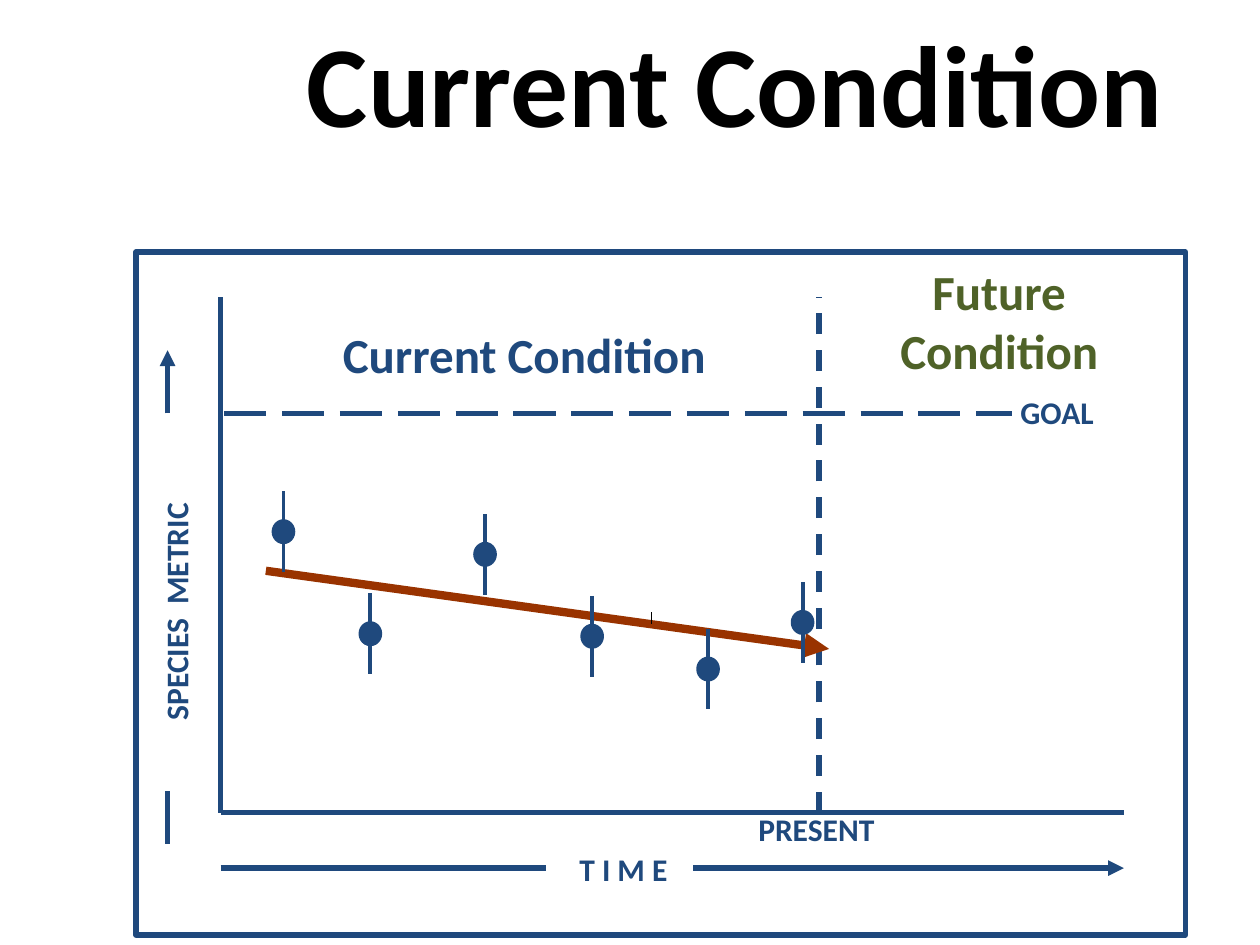
"""Build the Current Condition slide: a species metric trend against a goal."""
from pptx import Presentation
from pptx.dml.color import RGBColor
from pptx.enum.dml import MSO_LINE
from pptx.enum.shapes import MSO_CONNECTOR, MSO_SHAPE
from pptx.enum.text import MSO_ANCHOR, PP_ALIGN
from pptx.oxml.ns import qn
from pptx.util import Inches, Pt
from lxml import etree

NAVY = RGBColor(0x1F, 0x49, 0x7D)
GREEN = RGBColor(0x4F, 0x62, 0x28)
RUST = RGBColor(0x99, 0x33, 0x00)
BLACK = RGBColor(0, 0, 0)
WHITE = RGBColor(0xFF, 0xFF, 0xFF)
FONT = "Calibri"
STRAIGHT = MSO_CONNECTOR.STRAIGHT
RECTANGLE, OVAL = MSO_SHAPE.RECTANGLE, MSO_SHAPE.OVAL
LEFT, CENTER = PP_ALIGN.LEFT, PP_ALIGN.CENTER
TOP, MIDDLE = MSO_ANCHOR.TOP, MSO_ANCHOR.MIDDLE
DASH, LONG_DASH = MSO_LINE.DASH, MSO_LINE.LONG_DASH

AXIS_X, AXIS_Y, AXIS_TOP, AXIS_END = 1.75, 6.45, 2.36, 8.92
PRESENT_X, GOAL_Y = 6.5, 3.28
TIME_Y, METRIC_X = 6.89, 1.33
DOT_W, DOT_H, BAR_H = 0.16, 0.17, 0.64
POINTS = [(2.25, 4.22), (2.94, 5.03), (3.85, 4.4),
          (4.7, 5.05), (5.62, 5.31), (6.37, 4.94)]


def add_text(shapes, box, lines, size, color=NAVY, align=LEFT, wrap=True,
             anchor=TOP, rotation=0):
    """Add a bold text box with one paragraph per line."""
    s = shapes.add_textbox(*map(Inches, box))
    s.rotation = rotation
    tf = s.text_frame
    tf.word_wrap = wrap
    tf.vertical_anchor = anchor
    tf.text = "\n".join(lines)
    for p in tf.paragraphs:
        p.alignment = align
        p.font.name = FONT
        p.font.size = Pt(size)
        p.font.bold = True
        p.font.color.rgb = color


def add_line(shapes, start, end, color=NAVY, width=3, dash=None, arrow=False):
    """Add a straight line, optionally dashed or with an arrowhead."""
    s = shapes.add_connector(STRAIGHT, *map(Inches, (*start, *end)))
    s.line.color.rgb = color
    s.line.width = Pt(width)
    if dash:
        s.line.dash_style = dash
    sp_pr = s._element.spPr
    if arrow:
        etree.SubElement(sp_pr.find(qn("a:ln")), qn("a:tailEnd"), type="triangle")
    etree.SubElement(sp_pr, qn("a:effectLst"))


def add_outlined(shapes, kind, box, fill, width):
    """Add a filled shape with a navy outline."""
    s = shapes.add_shape(kind, *map(Inches, box))
    s.shadow.inherit = False
    s.fill.solid()
    s.fill.fore_color.rgb = fill
    s.line.color.rgb = NAVY
    s.line.width = Pt(width)


def add_point(shapes, x, y):
    """Add a grouped data point with its error bar."""
    group = shapes.add_group_shape().shapes
    add_outlined(group, OVAL, (x - DOT_W / 2, y - DOT_H / 2, DOT_W, DOT_H), NAVY, 2)
    add_line(group, (x, y - BAR_H / 2), (x, y + BAR_H / 2), width=2.25)


def add_axes(shapes):
    """Add the axes, their direction arrows and their labels."""
    add_text(shapes, (0.27, 4.49, 2.25, 0.4), ["SPECIES  METRIC"], 18, rotation=270)
    add_line(shapes, (AXIS_X, AXIS_TOP), (AXIS_X, AXIS_Y))
    add_line(shapes, (AXIS_X, TIME_Y), (4.33, TIME_Y))
    add_text(shapes, (4.5, 6.7, 1.34, 0.5), ["T I M E"], 18, wrap=False)
    add_line(shapes, (5.5, TIME_Y), (AXIS_END, TIME_Y), arrow=True)
    add_line(shapes, (AXIS_X, AXIS_Y), (AXIS_END, AXIS_Y))
    add_line(shapes, (METRIC_X, 6.28), (METRIC_X, 6.7))
    add_line(shapes, (METRIC_X, GOAL_Y), (METRIC_X, 2.78), arrow=True)


def main():
    """Build and save the slide."""
    prs = Presentation()
    prs.slide_width, prs.slide_height = Inches(10), Inches(7.5)
    shapes = prs.slides.add_slide(prs.slide_layouts[6]).shapes

    add_text(shapes, (2.17, 0.04, 7.33, 1.21), ["Current Condition"], 66, BLACK,
             CENTER, anchor=MIDDLE)
    add_outlined(shapes, RECTANGLE, (1.08, 2, 8.33, 5.42), WHITE, 3)
    add_axes(shapes)

    add_line(shapes, (1.78, GOAL_Y), (8.03, GOAL_Y), dash=LONG_DASH)
    add_text(shapes, (6.97, 2.03, 1.92, 1.04), ["Future", "Condition"], 28, GREEN, CENTER)
    add_line(shapes, (PRESENT_X, AXIS_Y), (PRESENT_X, AXIS_TOP), dash=DASH)
    add_line(shapes, (2.11, 4.53), (6.58, 5.15), RUST, 4.75, arrow=True)
    add_line(shapes, (5.17, 4.95), (5.17, 4.86), BLACK, 0.75)
    add_text(shapes, (2.24, 2.53, 3.84, 0.57), ["Current Condition"], 28, align=CENTER)
    add_text(shapes, (8, 3.07, 0.79, 0.4), ["GOAL"], 18, wrap=False)
    add_text(shapes, (5.92, 6.38, 1.13, 0.4), ["PRESENT"], 18, wrap=False)

    for x, y in POINTS:
        add_point(shapes, x, y)
    prs.save("out.pptx")


if __name__ == "__main__":
    main()
